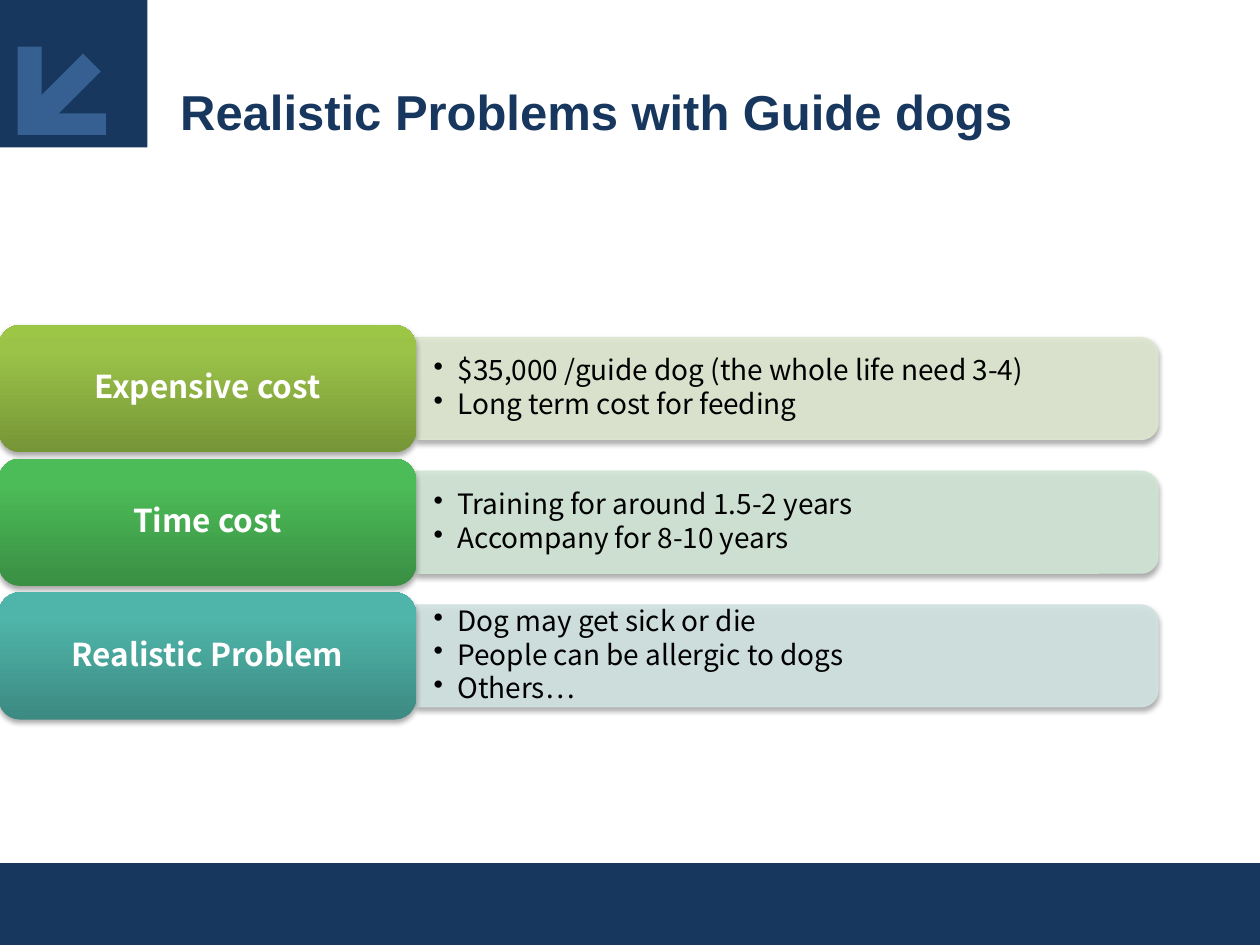
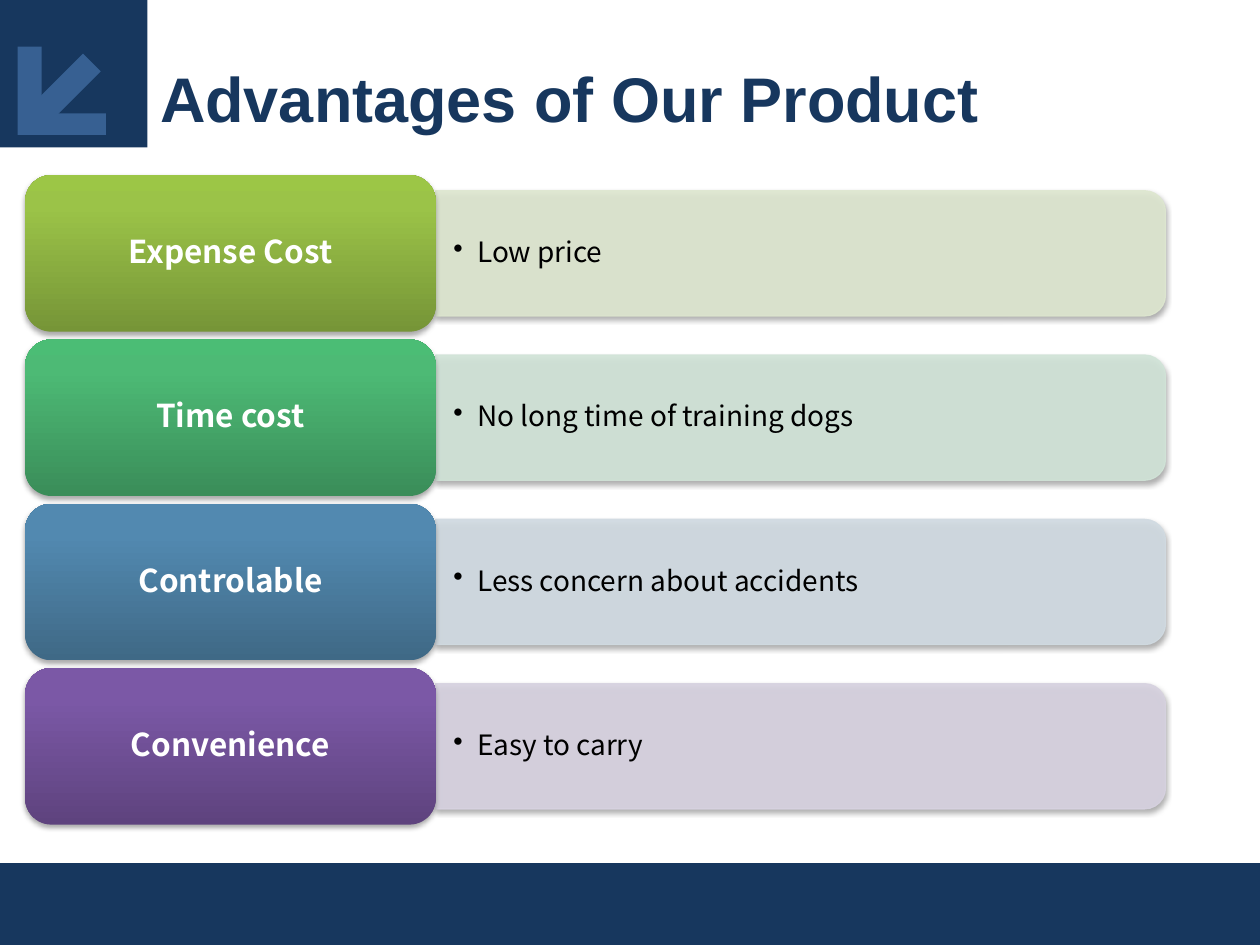
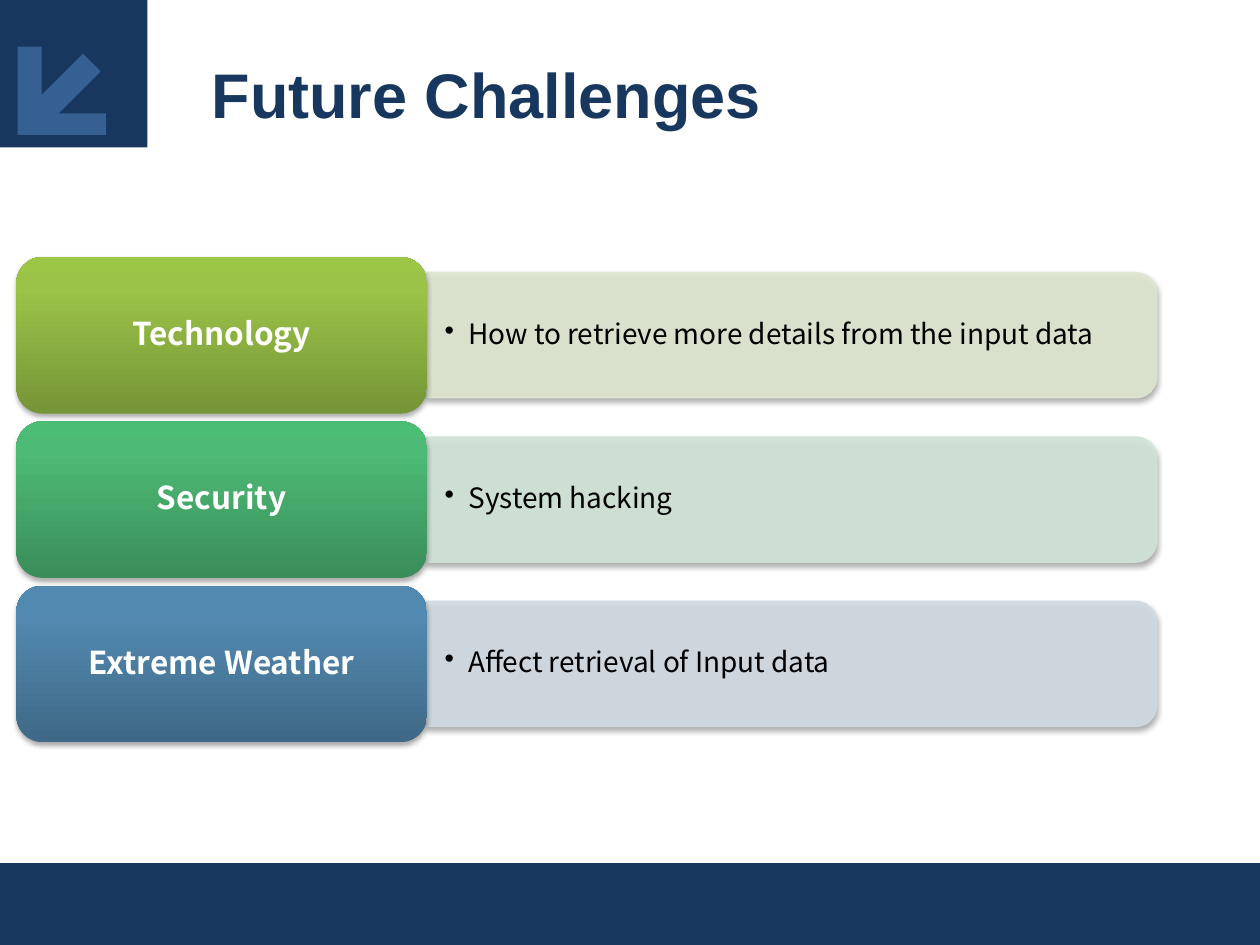
import copy
from dataclasses import dataclass

import lxml.etree
import pptx
import pptx.dml.color
import pptx.enum.shapes
import pptx.enum.text
import pptx.oxml.ns
import pptx.util

RGB = pptx.dml.color.RGBColor.from_string
SHAPES = pptx.enum.shapes.MSO_SHAPE
ALIGN = pptx.enum.text.PP_ALIGN
ANCHOR = pptx.enum.text.MSO_ANCHOR
qn = pptx.oxml.ns.qn


@dataclass(frozen=True)
class Theme:
    navy: str = "17375E"
    blue: str = "376092"
    white: str = "FFFFFF"
    black: str = "000000"
    title_font: str = "Arial"
    body_font: str = "Noto Sans CJK KR"
    label_size: int = 18
    detail_size: int = 16


theme = Theme()

# Each palette: gradient from bottom to top, then the pale detail colour
LIME = ("769537", "9BC348", "9CC646", "DEE7D0")
GREEN = ("3A8F43", "4CBC58", "4ABF56", "D0E5D4")
TEAL = ("3C8A81", "4FB5AA", "4EB8AC", "D1E3E1")
MINT = ("3A8D59", "4DBA75", "4BBD75", "D1E4D8")
STEEL = ("3F6986", "5289B0", "518AB3", "D1DBE2")
PURPLE = ("5E437E", "7B58A6", "7B57A8", "D7D2E0")

# Lengths are in grid units: the slide is 100 columns by 75 rows
slides = [
    {
        "title": "Realistic Problems with Guide dogs",
        "title_place": (13.8, 6, 81.2, 5.3), "title_size": 28,
        "left": -0.1, "top": 25.8, "width": 92, "row_height": 10.1,
        "rows": [
            ("Expensive cost", LIME, ["$35,000 /guide dog (the whole life need 3-4)",
                                      "Long term cost for feeding"]),
            ("Time cost", GREEN, ["Training for around 1.5-2 years",
                                  "Accompany for 8-10 years"]),
            ("Realistic Problem", TEAL, ["Dog may get sick or die",
                                         "People can be allergic to dogs",
                                         "Others…"]),
        ],
    },
    {
        "title": "Advantages of Our Product",
        "title_place": (12.2, 4.2, 81.2, 6.7), "title_size": 36,
        "left": 2, "top": 13.9, "width": 90.5, "row_height": 12.42,
        "rows": [
            ("Expense Cost", LIME, ["Low price"]),
            ("Time cost", MINT, ["No long time of training dogs"]),
            ("Controlable", STEEL, ["Less concern about accidents"]),
            ("Convenience", PURPLE, ["Easy to carry"]),
        ],
    },
    {
        "title": "Future Challenges",
        "title_place": (16.3, 3.9, 81.2, 6.7), "title_size": 36,
        "left": 1.3, "top": 20.4, "width": 90.5, "row_height": 12.42,
        "rows": [
            ("Technology", LIME, ["How to retrieve more details from the input data"]),
            ("Security", MINT, ["System hacking"]),
            ("Extreme Weather", STEEL, ["Affect retrieval of Input data"]),
        ],
    },
]

presentation = pptx.Presentation()
presentation.slide_width = pptx.util.Inches(10)
presentation.slide_height = pptx.util.Inches(7.5)
UNIT = presentation.slide_width // 100

LABEL_SHARE = 0.36      # label width within a row
DETAIL_SHARE = 0.8      # detail height within a row
ROW_PITCH = 1.05        # row height plus gap
ARROW_CORNER = [(14, 37), (33, 37), (33, 90), (84, 90), (84, 107), (14, 107)]


def place(*lengths):
    return [pptx.util.Emu(round(length * UNIT)) for length in lengths]


def write_text(shape, lines, font, size, color, bold=False, align=ALIGN.LEFT,
               anchor=ANCHOR.MIDDLE, insets=(0.4, 0.4), spacing=0.9, bullet=None):
    frame = shape.text_frame
    frame.word_wrap = True
    frame.vertical_anchor = anchor
    frame.margin_left, frame.margin_top = place(*insets)
    frame.margin_right, frame.margin_bottom = place(*insets)
    for index, line in enumerate(lines):
        paragraph = frame.paragraphs[0] if index == 0 else frame.add_paragraph()
        paragraph.text = line
        paragraph.alignment = align
        paragraph.line_spacing = spacing
        if index:
            paragraph.space_before = pptx.util.Pt(2)
        if bullet:
            properties = paragraph._p.get_or_add_pPr()
            indent = place(1.9)[0]
            properties.set("marL", str(indent))
            properties.set("indent", str(-indent))
            lxml.etree.SubElement(properties, qn("a:buChar"), char=bullet)
        paragraph.font.name = font
        paragraph.font.size = pptx.util.Pt(size)
        paragraph.font.bold = bold
        paragraph.font.color.rgb = RGB(color)


for content in slides:
    slide = presentation.slides.add_slide(presentation.slide_layouts[6])
    shapes = slide.shapes

    # Corner square with arrow, and footer band
    corner = shapes.add_shape(SHAPES.RECTANGLE, *place(0, 0, 11.7, 11.7))
    builder = shapes.build_freeform(*ARROW_CORNER[0], scale=UNIT / 10)
    builder.add_line_segments(ARROW_CORNER[1:], close=True)
    arrow_corner = builder.convert_to_shape()
    arrow_shaft = shapes.add_shape(SHAPES.RECTANGLE, *place(4.2, 4.1, 2, 5.9))
    arrow_shaft.rotation = 45
    footer = shapes.add_shape(SHAPES.RECTANGLE, *place(0, 68.5, 100, 6.5))
    for shape, color in ((corner, theme.navy), (arrow_corner, theme.blue),
                         (arrow_shaft, theme.blue), (footer, theme.navy)):
        shape.shadow.inherit = False
        shape.fill.solid()
        shape.fill.fore_color.rgb = RGB(color)
        shape.line.fill.background()

    # Title
    title = shapes.add_textbox(*place(*content["title_place"]))
    write_text(title, [content["title"]], theme.title_font, content["title_size"],
               theme.navy, bold=True, anchor=ANCHOR.TOP, insets=(0.5, 0.5), spacing=1)

    # Rows: a label at the left, its details at the right
    height = content["row_height"]
    label_width = content["width"] * LABEL_SHARE
    detail_width = content["width"] - label_width
    detail_left = content["left"] + label_width
    detail_height = height * DETAIL_SHARE
    for index, (name, palette, details) in enumerate(content["rows"]):
        top = content["top"] + index * height * ROW_PITCH
        *gradient, pale = palette

        # Detail panel, turned so that its rounded end faces right
        panel = shapes.add_shape(SHAPES.ROUND_2_SAME_RECTANGLE, *place(
            detail_left + (detail_width - detail_height) / 2,
            top + (height - detail_width) / 2, detail_height, detail_width))
        panel.rotation = 90
        panel.fill.solid()
        panel.fill.fore_color.rgb = RGB(pale)
        panel.line.color.rgb = RGB(pale)
        panel.line.width = pptx.util.Pt(0.75)
        for color in panel._element.spPr.findall(".//" + qn("a:srgbClr")):
            lxml.etree.SubElement(color, qn("a:alpha"), val="90000")
        detail = shapes.add_textbox(*place(detail_left, top, detail_width - 0.4, height))
        write_text(detail, details, theme.body_font, theme.detail_size, theme.black,
                   insets=(1.4, 0), bullet="•")

        # Label with a three-stop gradient
        label = shapes.add_shape(SHAPES.ROUNDED_RECTANGLE, *place(
            content["left"], top, label_width, height))
        label.fill.gradient()
        label.fill.gradient_angle = 90
        stop_list = label._element.spPr.find(".//" + qn("a:gsLst"))
        stop_list.insert(1, copy.deepcopy(stop_list[0]))
        for stop, position, color in zip(label.fill.gradient_stops, (0, 0.8, 1), gradient):
            stop.position = position
            stop.color.rgb = RGB(color)
        label.line.fill.background()
        write_text(label, [name], theme.body_font, theme.label_size, theme.white,
                   bold=True, align=ALIGN.CENTER)

        # Soft shadow below both parts
        for shape in (panel, label):
            shape.shadow.inherit = False
            effects = shape._element.spPr.find(qn("a:effectLst"))
            shadow = lxml.etree.SubElement(
                effects, qn("a:outerShdw"), blurRad=str(pptx.util.Pt(3)),
                dist=str(pptx.util.Pt(1.8)), dir="5400000", rotWithShape="0")
            color = lxml.etree.SubElement(shadow, qn("a:srgbClr"), val=theme.black)
            lxml.etree.SubElement(color, qn("a:alpha"), val="35000")

presentation.save("out.pptx")
